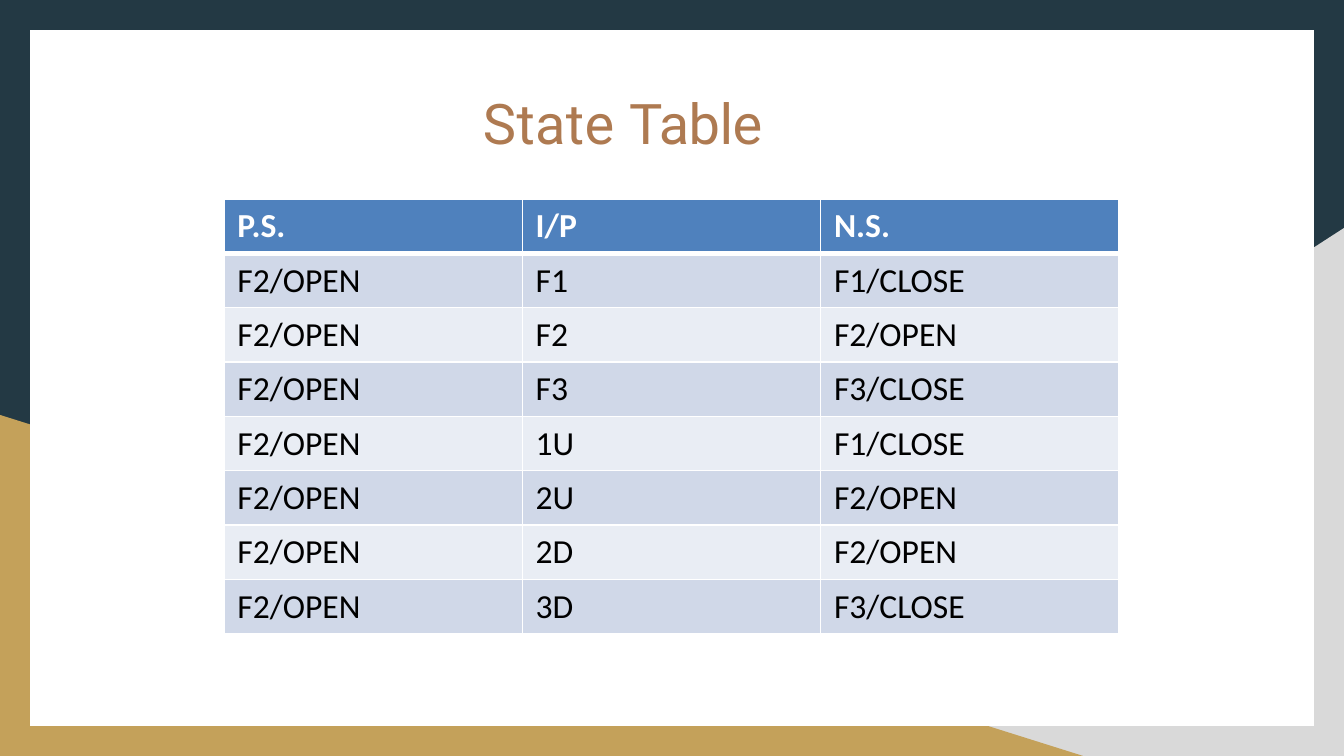
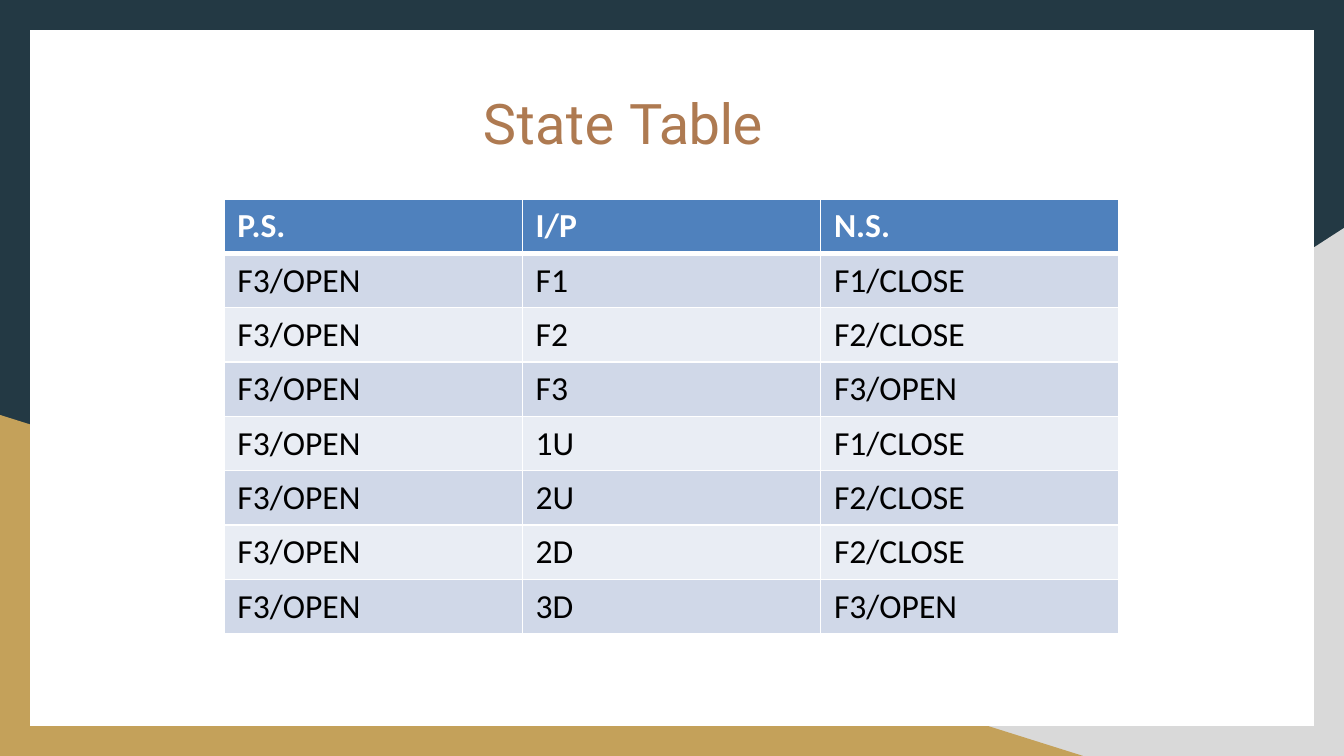
from lxml import etree
from pptx import Presentation
from pptx import util as u
from pptx.dml.color import RGBColor
from pptx.enum import text
from pptx.oxml import ns

PX = u.Inches(10) / 1344  # EMU per px
W, H = 1344, 756

COLORS = {
    "navy": "233944",
    "grey": "D9D9D9",
    "gold": "C4A15A",
    "white": "FFFFFF",
    "title": "AE7A51",
    "header": "4F81BD",
    "band_dark": "D0D8E8",
    "band_light": "E9EDF4",
    "black": "000000",
}

# Backdrop outlines, from back to front
BACKDROP = [
    ("navy", [(0, 0), (W, 0), (W, H), (0, H)]),
    ("grey", [(W, H), (527, H), (W, 228)]),
    ("gold", [(1083, H), (0, H), (0, 415)]),
    ("white", [(30, 30), (1314, 30), (1314, 726), (30, 726)]),
]

TITLE_RUNS = [("State ", 20), ("Table", -30)]  # text, letter spacing
HEADINGS = ("P.S.", "I/P", "N.S.")
# Button pressed and the floor it calls the lift to
INPUTS = [("F1", 1), ("F2", 2), ("F3", 3),
          ("1U", 1), ("2U", 2), ("2D", 2), ("3D", 3)]


def px(n):
    return u.Emu(round(n * PX))


def rgb(name):
    return RGBColor.from_string(COLORS[name])


def style_run(r, font, size, color, bold=False):
    r.font.name = font
    r.font.size = u.Pt(size)
    r.font.bold = bold
    r.font.color.rgb = rgb(color)


def add_polygon(slide, color, points):
    builder = slide.shapes.build_freeform(*points[0], scale=PX)
    builder.add_line_segments(points[1:], close=True)
    sp = builder.convert_to_shape()
    sp.shadow.inherit = False
    sp.fill.solid()
    sp.fill.fore_color.rgb = rgb(color)
    sp.line.fill.background()
    return sp


def add_backdrop(slide):
    """Draw the backdrop and hand it to the layout, behind its placeholders."""
    tree = slide.slide_layout.shapes._spTree
    for i, (color, points) in enumerate(BACKDROP):
        sp = add_polygon(slide, color, points)
        tree.insert(2 + i, sp._element)


def set_title(slide):
    sp = slide.shapes.title
    sp.left, sp.top, sp.width, sp.height = px(481), px(87), px(289), px(71)
    tf = sp.text_frame
    tf.word_wrap = True
    tf.auto_size = text.MSO_AUTO_SIZE.SHAPE_TO_FIT_TEXT
    tf.vertical_anchor = text.MSO_ANCHOR.TOP
    tf.margin_left = tf.margin_right = tf.margin_bottom = 0
    tf.margin_top = px(2)
    p = tf.paragraphs[0]
    p.alignment = text.PP_ALIGN.LEFT
    p.space_before = u.Pt(1)
    p._p.get_or_add_pPr().set("marL", str(px(2)))
    for words, spacing in TITLE_RUNS:
        r = p.add_run()
        r.text = words
        style_run(r, "Roboto", 30, "title")
        r._r.get_or_add_rPr().set("spc", str(spacing))


def set_borders(cell, top, bottom):
    tc_pr = cell._tc.get_or_add_tcPr()
    for side, width in (("L", 1), ("R", 1), ("T", top), ("B", bottom)):
        ln = etree.SubElement(tc_pr, ns.qn(f"a:ln{side}"), w=str(u.Pt(width)))
        fill = etree.SubElement(ln, ns.qn("a:solidFill"))
        etree.SubElement(fill, ns.qn("a:srgbClr"), val=COLORS["white"])


def fill_cell(cell, words, row):
    header = row == 0
    # The rule under the header is thicker than the others
    set_borders(cell, top=3 if row == 1 else 1, bottom=3 if header else 1)
    band = "band_dark" if row % 2 else "band_light"
    cell.fill.solid()
    cell.fill.fore_color.rgb = rgb("header" if header else band)
    cell.text_frame.text = words
    r = cell.text_frame.paragraphs[0].runs[0]
    style_run(r, "Calibri", 18, "white" if header else "black", bold=header)


def add_table(slide, rows):
    width, height = px(895), px(435)
    frame = slide.shapes.add_table(len(rows), len(rows[0]),
                                   px(224), px(199), width, height)
    table = frame.table
    for col in table.columns:
        col.width = u.Emu(width // len(rows[0]))
    for i, values in enumerate(rows):
        table.rows[i].height = u.Emu(height // len(rows))
        for j, words in enumerate(values):
            fill_cell(table.cell(i, j), words, i)


def state_rows(floor):
    """The door stays open only when the call is for the present floor."""
    rows = [HEADINGS]
    for button, target in INPUTS:
        door = "OPEN" if target == floor else "CLOSE"
        rows.append((f"F{floor}/OPEN", button, f"F{target}/{door}"))
    return rows


def main():
    prs = Presentation()
    prs.slide_width, prs.slide_height = px(W), px(H)
    layout = prs.slide_layouts.get_by_name("Title Only")

    # One state table per floor
    for floor in (2, 3):
        slide = prs.slides.add_slide(layout)
        if floor == 2:
            add_backdrop(slide)  # shared through the layout
        set_title(slide)
        add_table(slide, state_rows(floor))

    prs.save("out.pptx")


if __name__ == "__main__":
    main()
